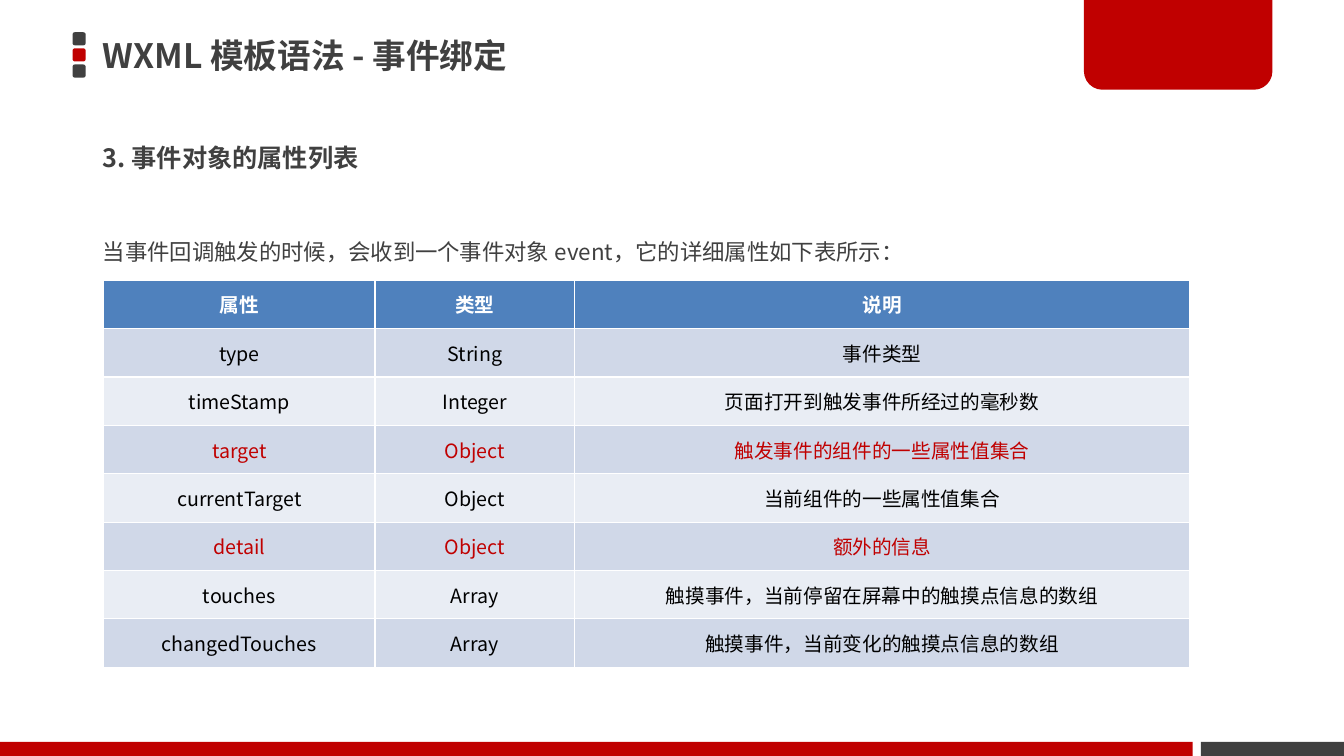
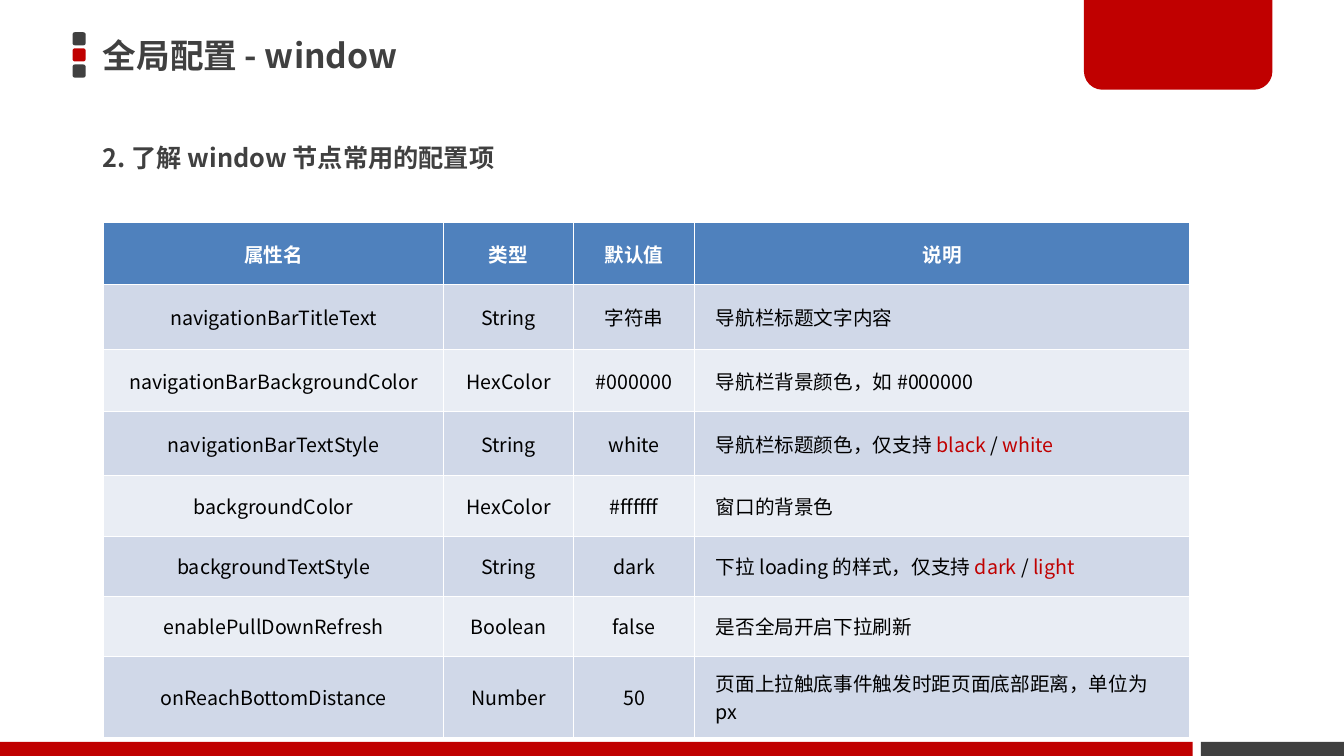
from dataclasses import dataclass
from typing import Tuple, Union

import lxml.etree
import pptx
import pptx.dml.color
import pptx.enum.shapes
import pptx.enum.text
import pptx.oxml.ns
import pptx.util

Inches = pptx.util.Inches
RGBColor = pptx.dml.color.RGBColor
SHAPE = pptx.enum.shapes.MSO_SHAPE
ALIGN = pptx.enum.text.PP_ALIGN
ANCHOR = pptx.enum.text.MSO_ANCHOR
qn = pptx.oxml.ns.qn

FONT = "Noto Sans CJK JP"
DARK = RGBColor(0x40, 0x40, 0x40)
RED = RGBColor(0xC0, 0x00, 0x00)
WHITE = RGBColor(0xFF, 0xFF, 0xFF)
BLACK = RGBColor(0x00, 0x00, 0x00)
HEADER_BLUE = RGBColor(0x4F, 0x81, 0xBD)
BANDS = (RGBColor(0xE9, 0xED, 0xF4), RGBColor(0xD0, 0xD8, 0xE8))


@dataclass(frozen=True)
class Span:
    text: str
    color: RGBColor = BLACK


@dataclass(frozen=True)
class Row:
    cells: Tuple[Union[str, Tuple[Span, ...]], ...]
    color: RGBColor = BLACK


@dataclass(frozen=True)
class TableSpec:
    top: float
    widths: Tuple[float, ...]
    heights: Tuple[float, ...]
    rows: Tuple[Row, ...]
    padding: Tuple[float, float] = (0.1, 0.05)
    left_column: int = -1


@dataclass(frozen=True)
class Block:
    """Shape on every slide: preset, box in inches, fill, corner radius, rotation."""
    preset: SHAPE
    box: Tuple[float, float, float, float]
    fill: RGBColor
    radius: float = 0
    rotation: float = 0


FRAME = (
    *(Block(SHAPE.ROUNDED_RECTANGLE, (0.72, 0.32 + 0.16 * i, 0.13, 0.13), color, 0.17)
      for i, color in enumerate((DARK, RED, DARK))),
    Block(SHAPE.RECTANGLE, (11.91, 7.36, 1.42, 0.14), DARK),
    Block(SHAPE.ROUND_2_SAME_RECTANGLE, (10.75, -0.03, 1.87, 0.92), RED, 0.2, 180),
    Block(SHAPE.RECTANGLE, (0, 7.36, 11.83, 0.14), RED),
)

EVENT_TABLE = TableSpec(
    top=2.78,
    widths=(2.69, 1.98, 6.1),
    heights=(0.48,) * 8,
    rows=(
        Row(("属性", "类型", "说明"), WHITE),
        Row(("type", "String", "事件类型")),
        Row(("timeStamp", "Integer", "页面打开到触发事件所经过的毫秒数")),
        Row(("target", "Object", "触发事件的组件的一些属性值集合"), RED),
        Row(("currentTarget", "Object", "当前组件的一些属性值集合")),
        Row(("detail", "Object", "额外的信息"), RED),
        Row(("touches", "Array", "触摸事件，当前停留在屏幕中的触摸点信息的数组")),
        Row(("changedTouches", "Array", "触摸事件，当前变化的触摸点信息的数组")),
    ),
)


def choice(lead: str, first: str, second: str) -> Tuple[Span, ...]:
    """Description ending in two allowed values, both in red."""
    return Span(lead), Span(first, RED), Span(" / "), Span(second, RED)


WINDOW_TABLE = TableSpec(
    top=2.21,
    widths=(3.37, 1.29, 1.2, 4.91),
    heights=(0.61, 0.65, 0.61, 0.64, 0.6, 0.6, 0.59, 0.61),
    rows=(
        Row(("属性名", "类型", "默认值", "说明"), WHITE),
        Row(("navigationBarTitleText", "String", "字符串", "导航栏标题文字内容")),
        Row(("navigationBarBackgroundColor", "HexColor", "#000000",
             "导航栏背景颜色，如 #000000")),
        Row(("navigationBarTextStyle", "String", "white",
             choice("导航栏标题颜色，仅支持 ", "black", "white"))),
        Row(("backgroundColor", "HexColor", "#ffffff", "窗口的背景色")),
        Row(("backgroundTextStyle", "String", "dark",
             choice("下拉 loading 的样式，仅支持 ", "dark", "light"))),
        Row(("enablePullDownRefresh", "Boolean", "false", "是否全局开启下拉刷新")),
        Row(("onReachBottomDistance", "Number", "50",
             "页面上拉触底事件触发时距页面底部距离，单位为px")),
    ),
    padding=(0.21, 0.12),
    left_column=3,
)


def add_run(p, span: Span, size: float, bold: bool = False) -> None:
    r = p.add_run()
    r.text = span.text
    r.font.size = pptx.util.Pt(size)
    r.font.bold = bold
    r.font.name = FONT
    r.font.color.rgb = span.color
    ea = lxml.etree.SubElement(r._r.get_or_add_rPr(), qn("a:ea"))
    ea.set("typeface", FONT)


def add_frame(slide) -> None:
    for block in FRAME:
        sp = slide.shapes.add_shape(block.preset, *map(Inches, block.box))
        sp.shadow.inherit = False
        sp.fill.solid()
        sp.fill.fore_color.rgb = block.fill
        sp.line.fill.background()
        sp.rotation = block.rotation
        if block.radius:
            sp.adjustments[0] = block.radius


def fill_placeholder(sp, top: float, width: float, text: str, size: float,
                     bold: bool = True, anchor: ANCHOR = ANCHOR.MIDDLE):
    """Move the placeholder, write one unbulleted line and return its paragraph."""
    sp.left, sp.top, sp.width, sp.height = map(Inches, (0.92, top, width, 0.57))
    tf = sp.text_frame
    tf.auto_size = pptx.enum.text.MSO_AUTO_SIZE.NONE
    tf.vertical_anchor = anchor
    p = tf.paragraphs[0]
    p.alignment = ALIGN.LEFT
    pPr = p._p.get_or_add_pPr()
    pPr.set("marL", "0")
    pPr.set("indent", "0")
    lxml.etree.SubElement(pPr, qn("a:buNone"))
    add_run(p, Span(text, DARK), size, bold)
    return p


def add_table(slide, spec: TableSpec) -> None:
    table = slide.shapes.add_table(
        len(spec.rows), len(spec.widths), Inches(1.03), Inches(spec.top),
        Inches(sum(spec.widths)), Inches(sum(spec.heights))).table
    for column, width in zip(table.columns, spec.widths):
        column.width = Inches(width)
    for i, (row, height) in enumerate(zip(spec.rows, spec.heights)):
        table.rows[i].height = Inches(height)
        header = i == 0
        for j, content in enumerate(row.cells):
            cell = table.cell(i, j)
            cell.fill.solid()
            cell.fill.fore_color.rgb = HEADER_BLUE if header else BANDS[i % 2]
            cell.vertical_anchor = ANCHOR.MIDDLE
            if not header:
                cell.margin_left = cell.margin_right = Inches(spec.padding[0])
                cell.margin_top = cell.margin_bottom = Inches(spec.padding[1])
            p = cell.text_frame.paragraphs[0]
            left = j == spec.left_column and not header
            p.alignment = ALIGN.LEFT if left else ALIGN.CENTER
            spans = (Span(content, row.color),) if isinstance(content, str) else content
            for span in spans:
                add_run(p, span, 14, header)


def add_slide(prs, layout: int, title: str, heading: str, spec: TableSpec,
              intro: str = "") -> None:
    slide = prs.slides.add_slide(prs.slide_layouts[layout])
    add_frame(slide)
    fill_placeholder(slide.shapes.title, 0.26, 9.59, title, 24)
    fill_placeholder(slide.placeholders[1], 1.28, 10.77, heading, 18)
    if intro:
        p = fill_placeholder(slide.placeholders[2], 2.18, 10.77, intro, 16,
                             bold=False, anchor=ANCHOR.TOP)
        p.line_spacing = 1.5
    add_table(slide, spec)


def main() -> None:
    prs = pptx.Presentation()
    prs.slide_width, prs.slide_height = Inches(13.33), Inches(7.5)
    add_slide(prs, 3, "WXML 模板语法 - 事件绑定", "3. 事件对象的属性列表", EVENT_TABLE,
              "当事件回调触发的时候，会收到一个事件对象 event，它的详细属性如下表所示：")
    add_slide(prs, 1, "全局配置 - window", "2. 了解 window 节点常用的配置项", WINDOW_TABLE)
    prs.save("out.pptx")


if __name__ == "__main__":
    main()
